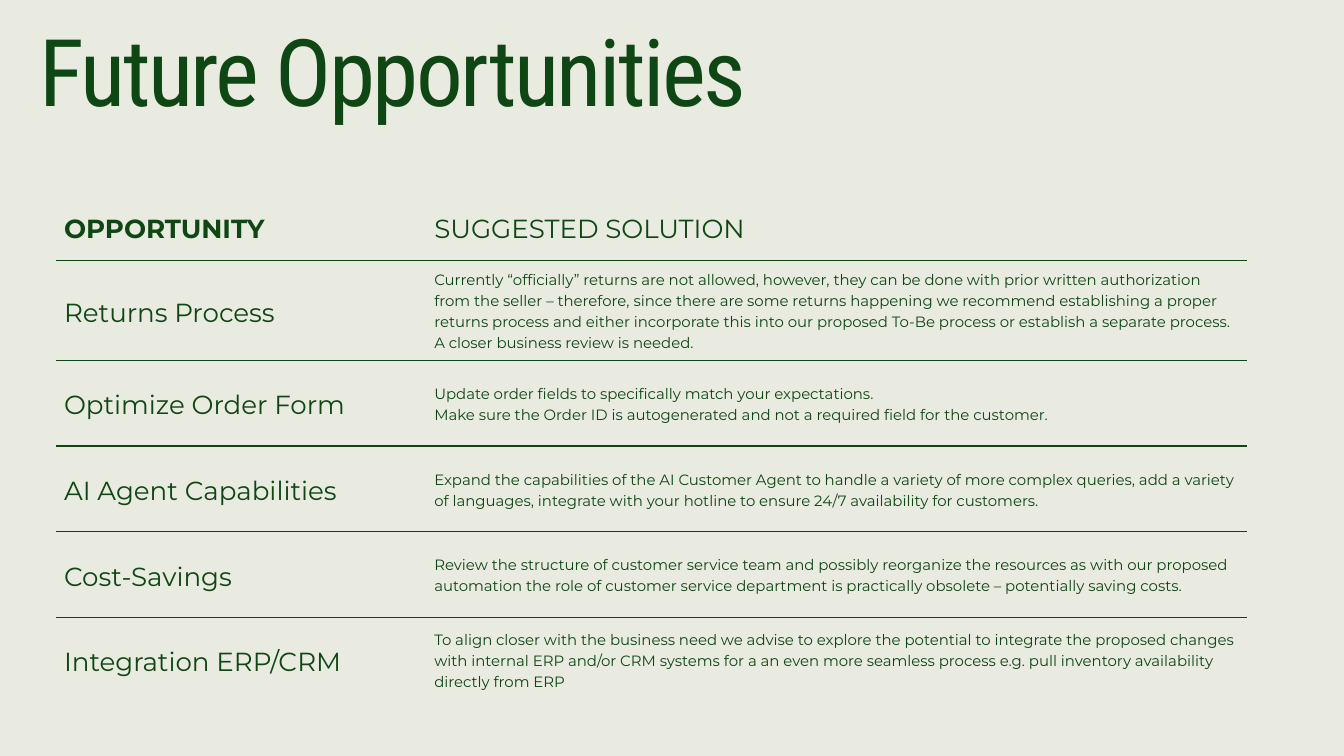
from lxml.etree import SubElement
from pptx import Presentation
from pptx.dml.color import RGBColor
from pptx.enum.text import MSO_ANCHOR as Anchor, MSO_AUTO_SIZE as AutoSize, PP_ALIGN as Align
from pptx.oxml.ns import qn
from pptx.util import Pt

GREEN = "0E4714"
CREAM = "E9EAE0"

TABLE_ROWS = [
    ("OPPORTUNITY", "SUGGESTED SOLUTION"),
    ("Returns Process",
     "Currently “officially” returns are not allowed, however, they can be done with prior "
     "written authorization from the seller – therefore, since there are some returns happening "
     "we recommend establishing a proper returns process and either incorporate this into our "
     "proposed To-Be process or establish a separate process. A closer business review is needed."),
    ("Optimize Order Form",
     "Update order fields to specifically match your expectations. \n"
     "Make sure the Order ID is autogenerated and not a required field for the customer."),
    ("AI Agent Capabilities",
     "Expand the capabilities of the AI Customer Agent to handle a variety of more complex "
     "queries, add a variety of languages, integrate with your hotline to ensure 24/7 "
     "availability for customers."),
    ("Cost-Savings",
     "Review the structure of customer service team and possibly reorganize the resources as "
     "with our proposed automation the role of customer service department is practically "
     "obsolete – potentially saving costs."),
    ("Integration ERP/CRM",
     "To align closer with the business need we advise to explore the potential to integrate the "
     "proposed changes with internal ERP and/or CRM systems for a an even more seamless process "
     "e.g. pull inventory availability directly from ERP"),
]
COLUMN_WIDTHS = [396.72, 879.84]
ROW_HEIGHTS = [72, 77, 92, 92, 91.5, 91.5]


def color(hex_string):
    return RGBColor.from_string(hex_string)


class SlideBuilder:
    """Holds the text styles and the slide being filled."""

    STYLES = {
        "title": {"name": "Roboto Condensed", "size": Pt(100), "bold": False},
        "header": {"name": "Montserrat", "size": Pt(28), "bold": True},
        "label": {"name": "Montserrat", "size": Pt(28), "bold": False},
        "body": {"name": "Montserrat", "size": Pt(16), "bold": False},
    }
    LINE_SPACING = {"title": 94.7, "header": 39.2, "label": 39.2, "body": 22.4}
    CELL_MARGIN = Pt(8.64)
    RULE_WIDTH = Pt(1.5)

    def __init__(self, presentation):
        self.slide = presentation.slides.add_slide(presentation.slide_layouts[5])
        fill = self.slide.background.fill
        fill.solid()
        fill.fore_color.rgb = color(CREAM)

    def set_text(self, paragraph, text, style):
        paragraph.text = text
        paragraph.alignment = Align.LEFT
        paragraph.line_spacing = Pt(self.LINE_SPACING[style])
        for run in paragraph.runs:
            for attribute, value in self.STYLES[style].items():
                setattr(run.font, attribute, value)
            run.font.color.rgb = color(GREEN)

    def title(self, text, left, top, width, height, tracking):
        shape = self.slide.shapes.title
        shape.left, shape.top, shape.width, shape.height = map(Pt, (left, top, width, height))
        frame = shape.text_frame
        frame_format = {
            "margin_left": 0, "margin_top": 0, "margin_right": 0, "margin_bottom": 0,
            "vertical_anchor": Anchor.TOP, "word_wrap": True,
            "auto_size": AutoSize.SHAPE_TO_FIT_TEXT,
        }
        for attribute, value in frame_format.items():
            setattr(frame, attribute, value)
        self.set_text(frame.paragraphs[0], text, "title")
        for run in frame.paragraphs[0].runs:
            run._r.get_or_add_rPr().set("spc", str(round(tracking * 100)))

    def borders(self, cell, ruled_sides):
        """Rule the given sides (from L, R, T, B) and clear the others."""
        properties = cell._tc.get_or_add_tcPr()
        for side in "LRTB":
            ruled = side in ruled_sides
            line = SubElement(properties, qn(f"a:ln{side}"), w=str(self.RULE_WIDTH if ruled else 0))
            if ruled:
                fill = SubElement(line, qn("a:solidFill"))
                SubElement(fill, qn("a:srgbClr"), val=GREEN)
            else:
                SubElement(line, qn("a:noFill"))

    def table(self, rows, left, top, column_widths, row_heights):
        frame = self.slide.shapes.add_table(
            len(rows), len(column_widths), Pt(left), Pt(top),
            Pt(sum(column_widths)), Pt(sum(row_heights)))
        table = frame.table
        table.horz_banding = False
        for column, width in zip(table.columns, column_widths):
            column.width = Pt(width)
        for row, height in zip(table.rows, row_heights):
            row.height = Pt(height)
        last = len(rows) - 1
        for row_index, texts in enumerate(rows):
            sides = ("T" if row_index > 0 else "") + ("B" if row_index < last else "")
            styles = ("label", "body") if row_index > 0 else ("header", "label")
            for column_index, (text, style) in enumerate(zip(texts, styles)):
                cell = table.cell(row_index, column_index)
                for edge in ("left", "right", "top", "bottom"):
                    setattr(cell, f"margin_{edge}", self.CELL_MARGIN)
                cell.vertical_anchor = Anchor.MIDDLE
                self.borders(cell, sides)
                cell.fill.background()
                self.set_text(cell.text_frame.paragraphs[0], text, style)


def main():
    presentation = Presentation()
    presentation.slide_width, presentation.slide_height = Pt(1440), Pt(810)
    builder = SlideBuilder(presentation)
    builder.title("Future Opportunities", 42, 39, 1278, 103, tracking=-2.7)
    builder.table(TABLE_ROWS, 60, 207, COLUMN_WIDTHS, ROW_HEIGHTS)
    presentation.save("out.pptx")


if __name__ == "__main__":
    main()
